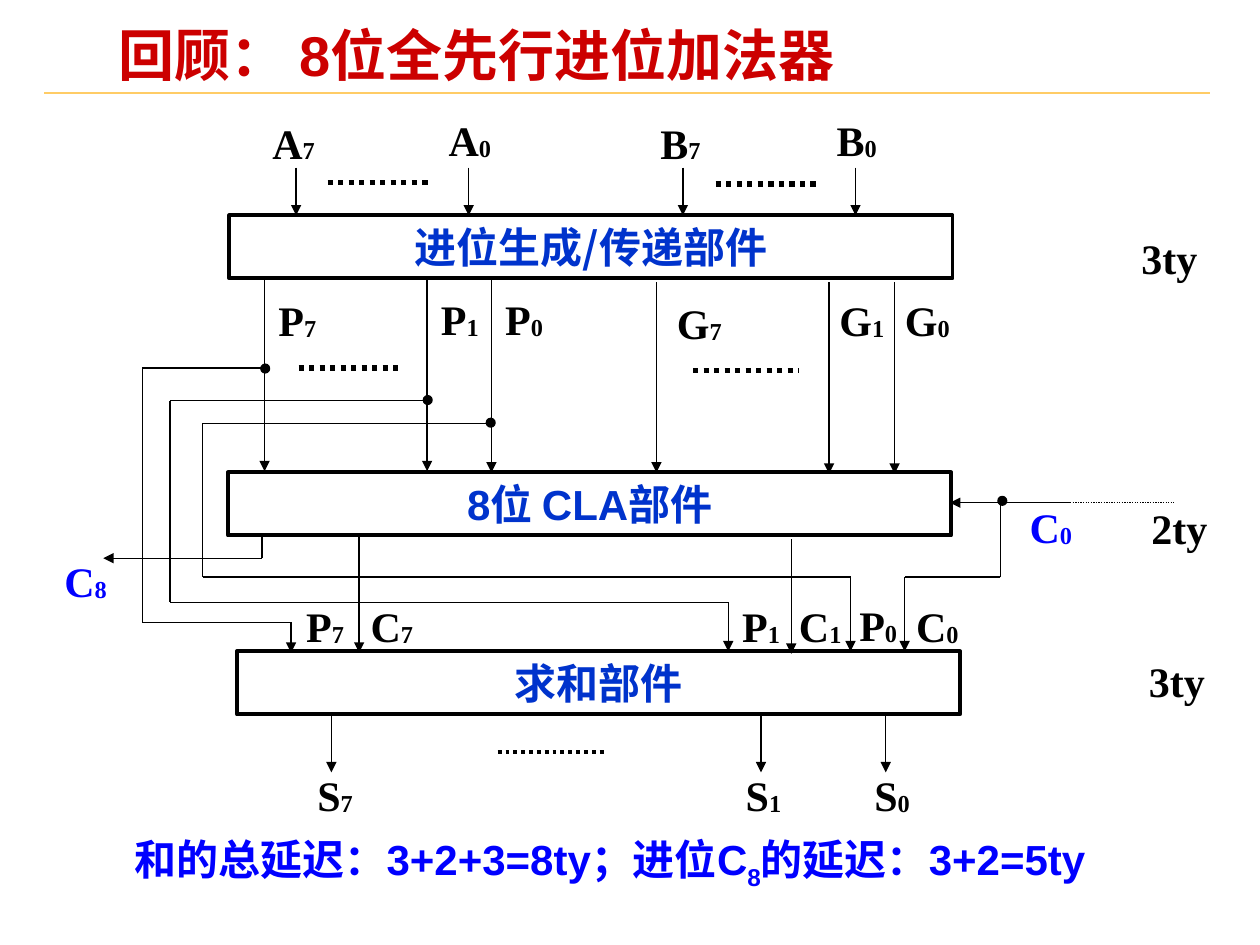
from lxml.etree import SubElement
from pptx import Presentation
from pptx.dml.color import RGBColor
from pptx.enum.dml import MSO_LINE
from pptx.enum.shapes import MSO_CONNECTOR, MSO_SHAPE
from pptx.enum.text import MSO_ANCHOR, PP_ALIGN
from pptx.oxml.ns import qn
from pptx.util import Inches, Pt

BLACK, BLUE, UNIT_BLUE, RED, GOLD = "000000", "0000FF", "0033CC", "CC0000", "FFCC66"
SERIF, SANS, CJK = "Times New Roman", "Arial", "Noto Sans CJK SC"

TITLE = "回顾： 8位全先行进位加法器"
SUMMARY = [("和的总延迟：3+2+3=8ty；进位C", 0), ("8", -25000), ("的延迟：3+2=5ty", 0)]
UNITS = [
    ("进位生成/传递部件", CJK, 1.82, 1.71),
    ("8位 CLA部件", SANS, 1.81, 3.75),
    ("求和部件", CJK, 1.88, 5.17),
]
SIGNALS = [
    ("A7", 2.03, 0.88, BLACK), ("A0", 3.43, 0.86, BLACK),
    ("B7", 5.1, 0.88, BLACK), ("B0", 6.5, 0.86, BLACK),
    ("P7", 2.06, 2.29, BLACK), ("P1", 3.35, 2.28, BLACK), ("P0", 3.86, 2.28, BLACK),
    ("G7", 5.25, 2.31, BLACK), ("G1", 6.54, 2.29, BLACK), ("G0", 7.06, 2.29, BLACK),
    ("C0", 8.04, 3.93, BLUE), ("C8", 0.38, 4.36, BLUE),
    ("P7", 2.28, 4.72, BLACK), ("C7", 2.81, 4.72, BLACK), ("P1", 5.74, 4.72, BLACK),
    ("C1", 6.21, 4.72, BLACK), ("P0", 6.67, 4.71, BLACK), ("C0", 7.14, 4.72, BLACK),
    ("S7", 2.36, 6.06, BLACK), ("S1", 5.76, 6.06, BLACK), ("S0", 6.78, 6.06, BLACK),
]
DELAYS = [("3ty", 8.94, 1.8), ("2ty", 9.02, 3.94), ("3ty", 9, 5.15)]
VERTICAL_ARROWS = [
    (1.33, 1.71, [2.35, 3.72, 5.42, 6.79]),
    (2.22, 3.74, [2.1, 3.39]),
    (2.22, 3.75, [3.9]),
    (2.24, 3.75, [5.21]),
    (2.24, 3.76, [6.58, 7.1]),
    (4.26, 5.18, [2.85]),
    (4.28, 5.19, [6.28]),
    (5.68, 6.13, [2.63, 6.04, 7.03]),
]
ROUTES = [
    [(2.1, 2.92), (1.13, 2.92), (1.13, 4.94), (2.31, 4.94), (2.31, 5.18)],
    [(3.39, 3.18), (1.35, 3.18), (1.35, 4.78), (5.78, 4.78), (5.78, 5.17)],
    [(3.9, 3.36), (1.61, 3.36), (1.61, 4.58), (6.75, 4.58), (6.75, 5.17)],
    [(7.94, 3.99), (7.94, 4.58), (7.18, 4.58), (7.18, 5.17)],
    [(2.08, 4.26), (2.08, 4.43), (0.82, 4.43)],
    [(8.49, 3.99), (7.54, 3.99)],
]
JUNCTIONS = [(2.07, 2.89), (3.36, 3.14), (3.86, 3.32), (7.92, 3.94)]
ELLIPSES = [
    (2.6, 3.43, 1.45, 3), (5.68, 6.51, 1.46, 3), (2.37, 3.2, 2.92, 3),
    (5.5, 6.34, 2.94, 3), (3.95, 4.79, 5.97, 2.25), (7.92, 9.32, 3.99, 0.75),
]


def rgb(color):
    return RGBColor.from_string(color)


def add_line(slide, start, end, color=BLACK, width=0.75, arrow=False, dotted=False):
    line = slide.shapes.add_connector(
        MSO_CONNECTOR.STRAIGHT, *(Inches(v) for v in (*start, *end)))
    line.line.color.rgb = rgb(color)
    line.line.width = Pt(width)
    if dotted:
        line.line.dash_style = MSO_LINE.ROUND_DOT
    properties = line._element.spPr
    if arrow:
        SubElement(properties.find(qn("a:ln")), qn("a:tailEnd"), type="triangle")
    SubElement(properties, qn("a:effectLst"))


def write(shape, pieces, font_name, color, size=24, align=PP_ALIGN.CENTER,
          anchor=MSO_ANCHOR.TOP, wrap=True):
    frame = shape.text_frame
    frame.word_wrap = wrap
    frame.vertical_anchor = anchor
    paragraph = frame.paragraphs[0]
    paragraph.alignment = align
    font = paragraph.font
    font.name, font.size, font.bold = font_name, Pt(size), True
    font.color.rgb = rgb(color)
    for text, baseline in pieces:
        run = paragraph.add_run()
        run.text = text
        properties = run._r.get_or_add_rPr()
        SubElement(properties, qn("a:ea"), typeface=CJK)
        if baseline:
            properties.set("baseline", str(baseline))
    return frame


def add_text(slide, box, *args, **kwargs):
    return write(slide.shapes.add_textbox(*(Inches(v) for v in box)), *args, **kwargs)


def add_block(slide, kind, box, width):
    block = slide.shapes.add_shape(kind, *(Inches(v) for v in box))
    block.shadow.inherit = False
    block.line.color.rgb = rgb(BLACK)
    block.line.width = Pt(width)
    return block


def main():
    """Build the 8-bit carry-lookahead adder slide."""
    deck = Presentation()
    deck.slide_width, deck.slide_height = Inches(10), Inches(7.5)
    slide = deck.slides.add_slide(deck.slide_layouts[6])

    add_line(slide, (0.35, 0.74), (9.6, 0.74), GOLD, 1)
    title = add_text(slide, (0.87, 0.21, 6.64, 0.52), [(TITLE, 0)], SANS, RED, 32,
                     PP_ALIGN.LEFT, MSO_ANCHOR.MIDDLE, wrap=False)
    title.margin_left = title.margin_right = Inches(0.07)
    title.margin_top = title.margin_bottom = Inches(0.03)
    title.paragraphs[0].line_spacing = 0.87

    for name, font_name, left, top in UNITS:
        unit = add_block(slide, MSO_SHAPE.RECTANGLE, (left, top, 5.74, 0.5), 2.25)
        unit.fill.background()
        write(unit, [(name, 0)], font_name, UNIT_BLUE, anchor=MSO_ANCHOR.MIDDLE)

    for top, bottom, columns in VERTICAL_ARROWS:
        for x in columns:
            add_line(slide, (x, top), (x, bottom), arrow=True)
    for route in ROUTES:
        for start, end in zip(route, route[1:]):
            add_line(slide, start, end, arrow=end == route[-1])
    for left, right, y, width in ELLIPSES:
        add_line(slide, (left, y), (right, y), width=width, dotted=True)
    for left, top in JUNCTIONS:
        junction = add_block(slide, MSO_SHAPE.OVAL, (left, top, 0.07, 0.07), 0.75)
        junction.fill.solid()
        junction.fill.fore_color.rgb = rgb(BLACK)

    for (letter, index), left, top, color in SIGNALS:
        add_text(slide, (left, top, 0.6, 0.5), [(letter, 0), (index, -2000)],
                 SERIF, color, wrap=False)
    for delay, left, top in DELAYS:
        add_text(slide, (left, top, 0.68, 0.5), [(delay, 0)], SERIF, BLACK, wrap=False)
    add_text(slide, (0.97, 6.57, 7.82, 0.96), SUMMARY, SANS, BLUE, align=PP_ALIGN.LEFT)

    deck.save("out.pptx")


if __name__ == "__main__":
    main()
